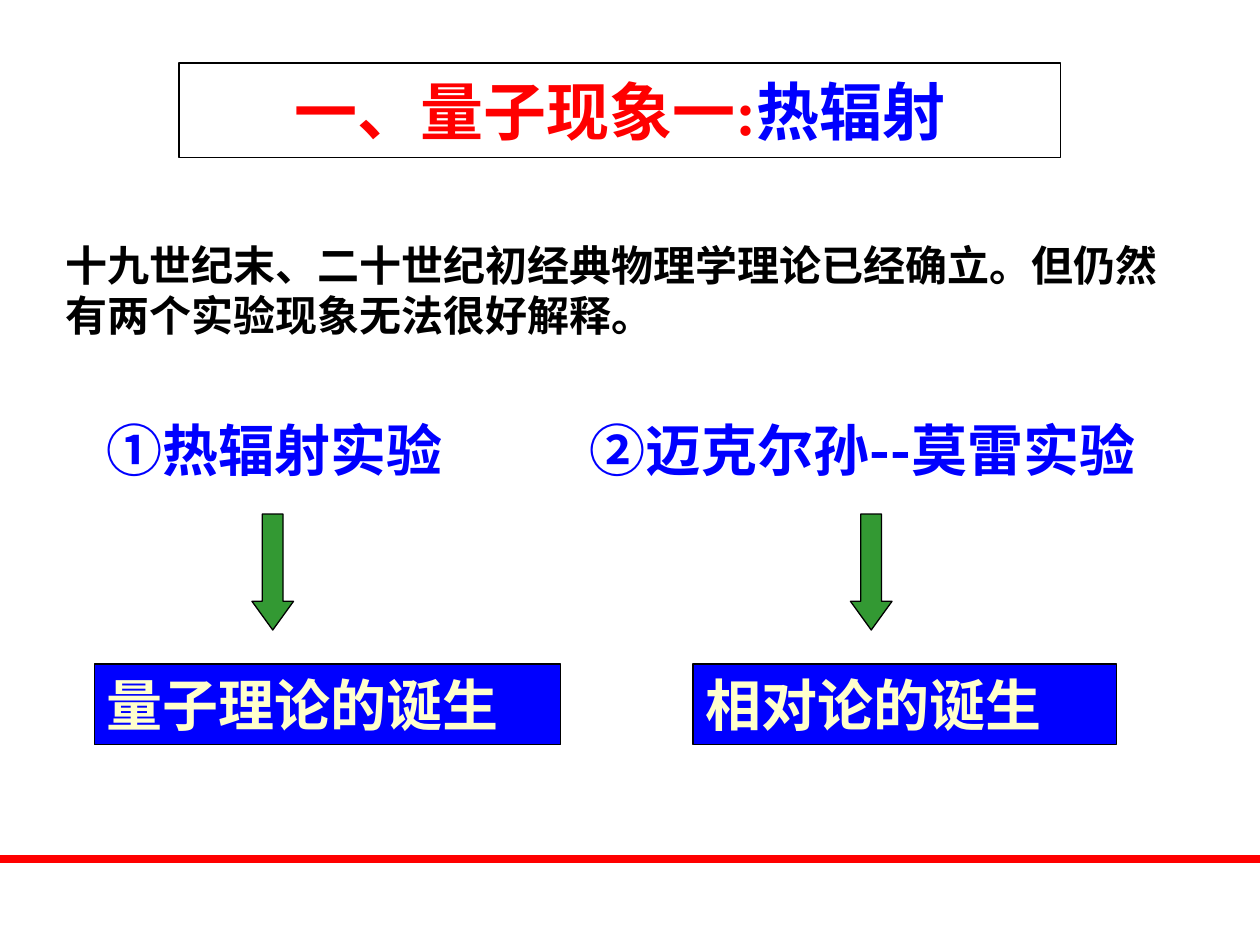
from dataclasses import dataclass
from typing import Optional

from lxml.etree import SubElement
from pptx import Presentation
from pptx.dml.color import RGBColor as Rgb
from pptx.enum.shapes import MSO_CONNECTOR as Link, MSO_SHAPE as Kind
from pptx.enum.text import MSO_ANCHOR as Anchor, PP_ALIGN as Align
from pptx.oxml.ns import qn
from pptx.util import Emu, Pt

SCALE = 9144  # EMU per px, 100 px to the inch


@dataclass(frozen=True)
class Theme:
    red: str = "FF0000"
    blue: str = "0000FF"
    green: str = "339933"
    cream: str = "FFFFCC"
    black: str = "000000"
    white: str = "FFFFFF"
    latin: str = "Times New Roman"
    asian: str = "Noto Sans CJK SC"
    title: int = 36
    head: int = 32
    body: int = 24
    thin: float = 0.75
    thick: float = 4.5


@dataclass(frozen=True)
class Run:
    text: str
    color: str


@dataclass(frozen=True)
class Box:
    left: int
    top: int
    width: int
    height: int
    runs: tuple[Run, ...]
    size: int
    fill: Optional[str] = None
    font: str = Theme.latin
    align: Align = Align.LEFT
    anchor: Anchor = Anchor.TOP


@dataclass(frozen=True)
class Arrow:
    left: int
    top: int
    width: int
    height: int


T = Theme()


def px(n: int) -> Emu:
    return Emu(n * SCALE)


def place(item) -> tuple[Emu, ...]:
    return px(item.left), px(item.top), px(item.width), px(item.height)


def paint(shape, fill: str) -> None:
    shape.shadow.inherit = False
    shape.fill.solid()
    shape.fill.fore_color.rgb = Rgb.from_string(fill)
    shape.line.color.rgb = Rgb.from_string(T.black)
    shape.line.width = Pt(T.thin)


def draw_box(shapes, box: Box) -> None:
    if box.fill:
        shape = shapes.add_shape(Kind.RECTANGLE, *place(box))
        paint(shape, box.fill)
    else:
        shape = shapes.add_textbox(*place(box))
    frame = shape.text_frame
    frame.word_wrap = True
    frame.vertical_anchor = box.anchor
    para = frame.paragraphs[0]
    para.alignment = box.align
    for part in box.runs:
        run = para.add_run()
        run.text = part.text
        font = run.font
        font.name, font.size, font.bold = box.font, Pt(box.size), True
        font.color.rgb = Rgb.from_string(part.color)
        # East Asian typeface
        SubElement(run._r.get_or_add_rPr(), qn("a:ea"), typeface=T.asian)


def draw_arrow(shapes, arrow: Arrow) -> None:
    shape = shapes.add_shape(Kind.DOWN_ARROW, *place(arrow))
    shape.adjustments[0] = 0.5
    shape.adjustments[1] = 0.69
    paint(shape, T.green)


def draw_rule(shapes, top: int, width: int) -> None:
    rule = shapes.add_connector(Link.STRAIGHT, 0, px(top), px(width), px(top))
    rule.line.color.rgb = Rgb.from_string(T.red)
    rule.line.width = Pt(T.thick)
    SubElement(rule._element.spPr, qn("a:effectLst"))


def main() -> None:
    deck = Presentation()
    deck.slide_width, deck.slide_height = px(1000), px(750)
    shapes = deck.slides.add_slide(deck.slide_layouts[6]).shapes

    # Footer rule
    draw_rule(shapes, 682, 1000)

    # Title and introduction
    title = (Run("一、量子现象一:", T.red), Run("热辐射", T.blue))
    intro = "十九世纪末、二十世纪初经典物理学理论已经确立。但仍然有两个实验现象无法很好解释。"
    draw_box(shapes, Box(142, 50, 700, 75, title, T.title, T.white,
                         align=Align.CENTER, anchor=Anchor.MIDDLE))
    draw_box(shapes, Box(42, 185, 893, 90, (Run(intro, T.black),), T.body))

    # Each experiment leads down to the theory it gave rise to
    tests = (
        Box(75, 325, 323, 64, (Run("①热辐射实验", T.blue),), T.head),
        Box(458, 325, 490, 64, (Run("②迈克尔孙--莫雷实验", T.blue),), T.head,
            font=T.asian),
    )
    births = (
        Box(75, 527, 370, 64, (Run("量子理论的诞生", T.cream),), T.head, T.blue),
        Box(550, 527, 336, 64, (Run("相对论的诞生", T.cream),), T.head, T.blue),
    )
    for test, birth in zip(tests, births):
        draw_box(shapes, test)
        draw_arrow(shapes, Arrow(birth.left + 125, 408, 33, 92))
        draw_box(shapes, birth)

    deck.save("out.pptx")


if __name__ == "__main__":
    main()
